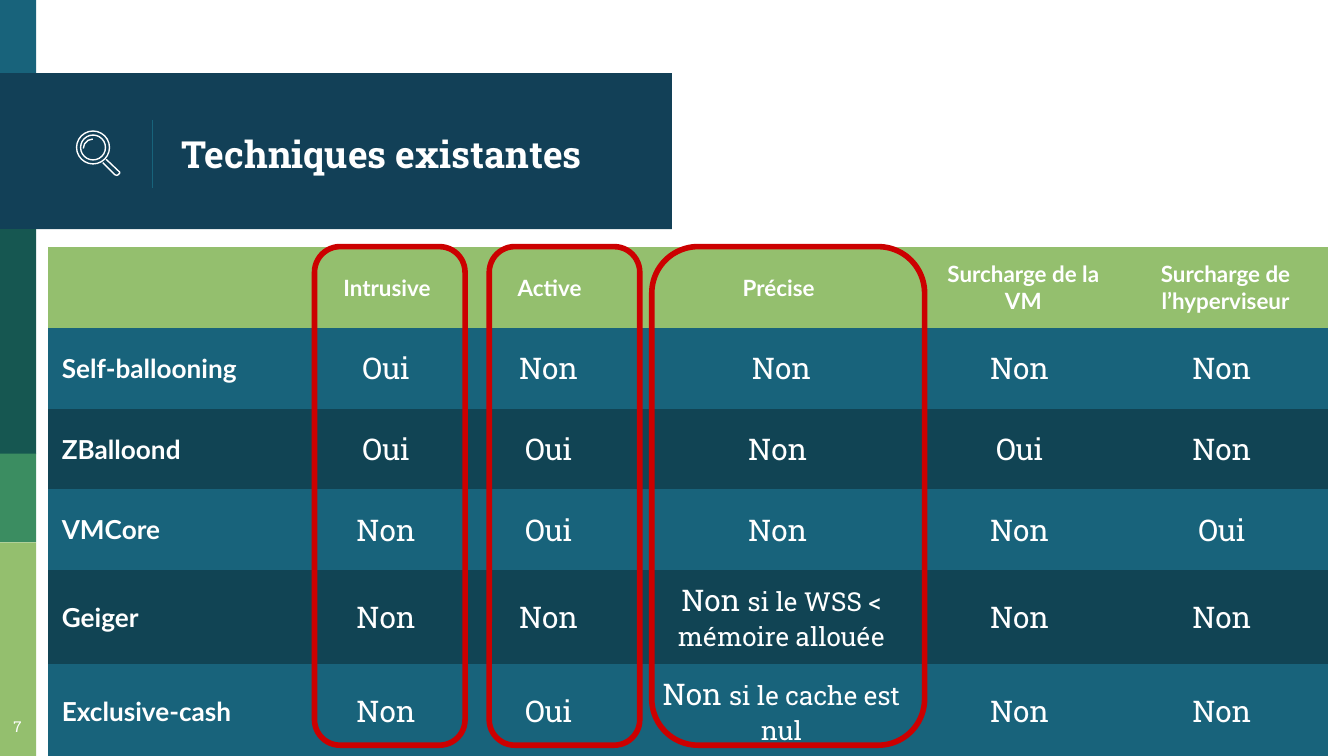
from pptx import Presentation
from pptx.dml.color import RGBColor
from pptx.enum.shapes import MSO_CONNECTOR as LINK, MSO_SHAPE as SHAPE
from pptx.enum.text import MSO_ANCHOR as ANCHOR, PP_ALIGN as ALIGN
from pptx.oxml.ns import qn
from pptx.util import Pt
from lxml.etree import SubElement

PX = 4572
WHITE = RGBColor(0xFF, 0xFF, 0xFF)
TEAL = RGBColor(0x18, 0x63, 0x7B)
NAVY = RGBColor(0x12, 0x40, 0x57)
DARK_TEAL = RGBColor(0x11, 0x44, 0x54)
PINE = RGBColor(0x16, 0x57, 0x51)
GREEN = RGBColor(0x3B, 0x8D, 0x61)
LIME = RGBColor(0x94, 0xBF, 0x6E)
RED = RGBColor(0xCC, 0x00, 0x00)
SERIF, SANS = "Roboto Slab", "Lato"
NO_STYLE = "{2D5ABB26-0587-4C30-8999-92F81FD0307C}"


def write(frame, text, size, font=SERIF, bold=False, align=ALIGN.LEFT,
          detail="", detail_size=14):
    paragraph = frame.paragraphs[0]
    paragraph.alignment = align
    for words, points in ((text, size), (detail, detail_size)):
        if words:
            run = paragraph.add_run()
            run.text = words
            run.font.size = Pt(points)
            run.font.name = font
            run.font.bold = bold
            run.font.color.rgb = WHITE


def paint(shape, fill=None, line=None, width=0.75):
    shape.shadow.inherit = False
    if fill is None:
        shape.fill.background()
    else:
        shape.fill.solid()
        shape.fill.fore_color.rgb = fill
    if line is None:
        shape.line.fill.background()
    else:
        shape.line.color.rgb = line
        shape.line.width = Pt(width)


deck = Presentation()
deck.slide_width, deck.slide_height = 2000 * PX, 1125 * PX
slide = deck.slides.add_slide(deck.slide_layouts[6])
shapes = slide.shapes

for top, width, height, color in (
    (0, 54, 116, TEAL),
    (109, 1000, 232, NAVY),
    (341, 54, 335, PINE),
    (675, 54, 132, GREEN),
    (807, 54, 318, LIME),
):
    band = shapes.add_shape(SHAPE.RECTANGLE, 0, top * PX, width * PX, height * PX)
    paint(band, fill=color)

divider = shapes.add_connector(LINK.STRAIGHT, 227 * PX, 178 * PX, 227 * PX, 280 * PX)
divider.line.color.rgb = TEAL
divider.line.width = Pt(0.75)
SubElement(divider.element.spPr, qn("a:effectLst"))

for text, left, top, width, height, anchor, look in (
    ("Techniques existantes", 250, 116, 702, 224, ANCHOR.MIDDLE,
     dict(size=20, bold=True)),
    ("7", -12, 1055, 76, 70, ANCHOR.TOP, dict(size=8, align=ALIGN.CENTER)),
):
    frame = shapes.add_textbox(left * PX, top * PX, width * PX, height * PX).text_frame
    frame.word_wrap = True
    frame.vertical_anchor = anchor
    frame.margin_left = frame.margin_right = 20 * PX
    frame.margin_top = frame.margin_bottom = 20 * PX
    write(frame, text, **look)

for left, top, size in ((114, 195, 49), (120, 201, 37)):
    lens = shapes.add_shape(SHAPE.OVAL, left * PX, top * PX, size * PX, size * PX)
    paint(lens, line=WHITE)

glint = shapes.add_shape(SHAPE.ARC, 124 * PX, 207 * PX, 28 * PX, 28 * PX)
glint.adjustments[0], glint.adjustments[1] = 108, 162
paint(glint, line=WHITE)

handle_outline = shapes.build_freeform(153, 242, scale=PX)
handle_outline.add_line_segments(
    [(171, 260), (174, 261), (176, 260), (178, 258), (178, 256), (158, 237)],
    close=False)
paint(handle_outline.convert_to_shape(), line=WHITE)

headings = ["", "Intrusive ", "Active ", "Précise ", "Surcharge de la VM",
            "Surcharge de l’hyperviseur"]
techniques = [
    ("Self-ballooning", "Oui ", "Non ", "Non", "Non ", "Non "),
    ("ZBalloond", "Oui ", "Oui ", "Non ", "Oui ", "Non "),
    ("VMCore", "Non ", "Oui ", "Non ", "Non ", "Oui "),
    ("Geiger", "Non ", "Non ", "Non ", "Non ", "Non "),
    ("Exclusive-cash", "Non ", "Oui ", "Non ", "Non ", "Non "),
]
conditions = {(4, 3): "si le WSS < mémoire allouée", (5, 3): "si le cache est nul"}
column_widths = [396, 224, 260, 422, 298, 304]
row_heights = [120] * 4 + [140] * 2

grid = [headings, *techniques]
table = shapes.add_table(len(grid), len(headings), 72 * PX, 368 * PX,
                         sum(column_widths) * PX, sum(row_heights) * PX).table
table._tbl.tblPr.find(qn("a:tableStyleId")).text = NO_STYLE
for column, width in zip(table.columns, column_widths):
    column.width = width * PX

for r, values in enumerate(grid):
    table.rows[r].height = row_heights[r] * PX
    for c, value in enumerate(values):
        cell = table.cell(r, c)
        cell.fill.solid()
        cell.fill.fore_color.rgb = LIME if r == 0 else (DARK_TEAL, TEAL)[r % 2]
        cell.vertical_anchor = ANCHOR.MIDDLE
        cell.margin_left = cell.margin_right = 20 * PX
        cell.margin_top = cell.margin_bottom = 14 * PX
        if r == 0:
            look = dict(size=12, font=SANS, bold=True, align=ALIGN.CENTER)
        elif c == 0:
            look = dict(size=14, font=SANS, bold=True)
        else:
            look = dict(size=16, align=ALIGN.CENTER)
        write(cell.text_frame, value, detail=conditions.get((r, c), ""), **look)

for left, width in ((728, 224), (468, 224), (970, 406)):
    highlight = shapes.add_shape(SHAPE.ROUNDED_RECTANGLE, left * PX, 367 * PX,
                                 width * PX, 742 * PX)
    highlight.adjustments[0] = 0.17
    paint(highlight, line=RED, width=3)

deck.save("out.pptx")
